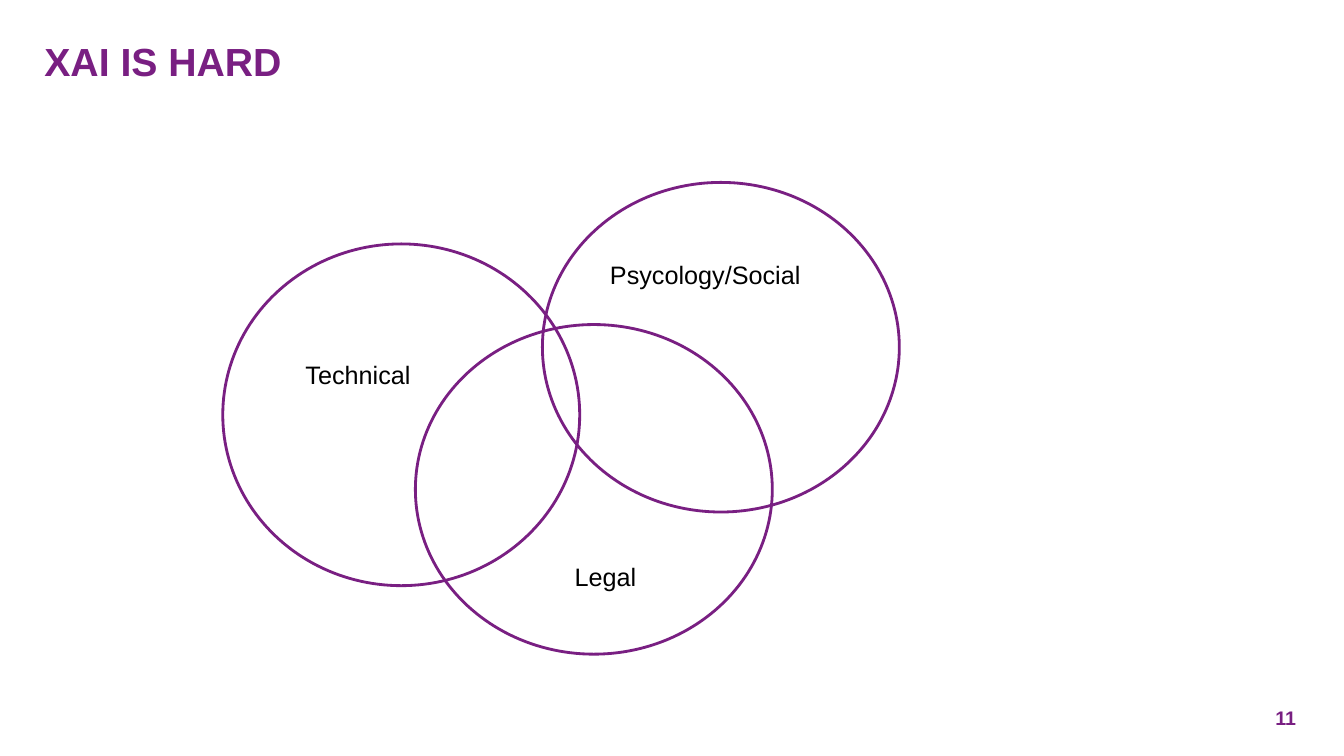
from pptx import Presentation
from pptx.dml.color import RGBColor
from pptx.enum.shapes import MSO_SHAPE
from pptx.enum.text import MSO_ANCHOR, PP_ALIGN
from pptx.util import Inches, Pt

OVAL = MSO_SHAPE.OVAL
TOP, BOTTOM = MSO_ANCHOR.TOP, MSO_ANCHOR.BOTTOM
LEFT = PP_ALIGN.LEFT
COLORS = {"purple": "791F82", "black": "000000"}


def set_text(sp, text, size, color, bold, anchor):
    tf = sp.text_frame
    tf.word_wrap = True
    tf.vertical_anchor = anchor
    tf.margin_left = tf.margin_top = tf.margin_right = tf.margin_bottom = 0
    p = tf.paragraphs[0]
    p.alignment = LEFT
    r = p.add_run()
    r.text = text
    r.font.name = "Arial"
    r.font.size = Pt(size)
    r.font.bold = bold
    r.font.color.rgb = RGBColor.from_string(COLORS[color])


prs = Presentation()
prs.slide_width, prs.slide_height = Inches(13.33), Inches(7.5)
s = prs.slides.add_slide(prs.slide_layouts[5])

# Title
title = s.shapes.title
title.left, title.top = Inches(0.44), Inches(0.29)
title.width, title.height = Inches(12.42), Inches(0.55)
set_text(title, "XAI IS HARD", 28, "purple", True, BOTTOM)

# Slide number
number = s.shapes.add_textbox(Inches(12.65), Inches(7.03), Inches(0.36), Inches(0.21))
set_text(number, "11", 14, "purple", True, BOTTOM)

# Overlapping circles
for x, y, h in [(2.21, 2.42, 3.39), (5.38, 1.81, 3.27), (4.12, 3.22, 3.27)]:
    sp = s.shapes.add_shape(OVAL, Inches(x), Inches(y), Inches(3.54), Inches(h))
    sp.shadow.inherit = False
    sp.fill.background()
    sp.line.color.rgb = RGBColor.from_string(COLORS["purple"])
    sp.line.width = Pt(2)

# Circle labels
labels = [
    ("Technical", 3.03, 3.56, 1.4, 0.35),
    ("Psycology/Social", 6.05, 2.57, 2.19, 0.46),
    ("Legal", 5.7, 5.57, 1.43, 0.26),
]
for text, x, y, w, h in labels:
    sp = s.shapes.add_textbox(Inches(x), Inches(y), Inches(w), Inches(h))
    set_text(sp, text, 18, "black", False, TOP)

prs.save("out.pptx")
